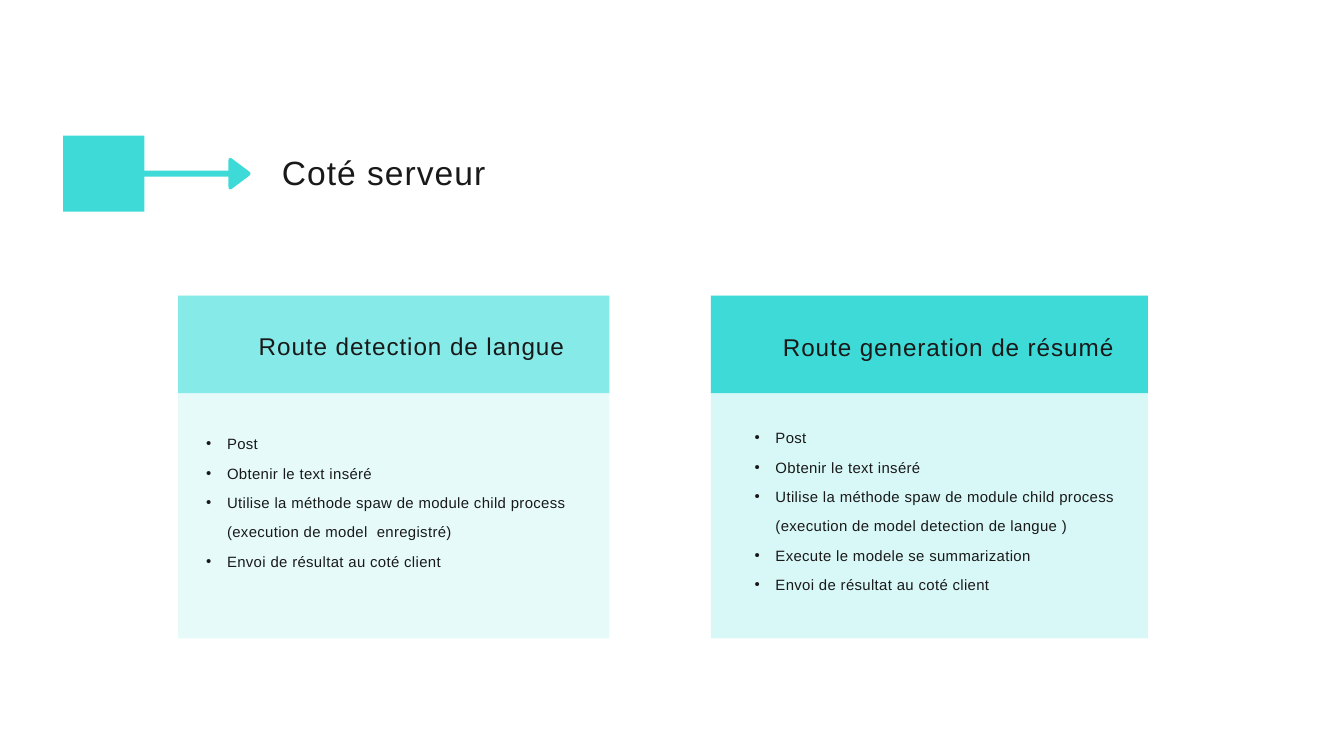
import pptx
import pptx.dml.color
import pptx.enum.shapes
import pptx.enum.text
import pptx.oxml
import pptx.oxml.ns
import pptx.util

Pt = pptx.util.Pt
RGBColor = pptx.dml.color.RGBColor
qn = pptx.oxml.ns.qn
NS = pptx.oxml.ns.nsdecls("a")

TURQUOISE = RGBColor(0x3E, 0xDA, 0xD8)
LIGHT_TURQUOISE = RGBColor(0x86, 0xEA, 0xE9)
INK = RGBColor(0x19, 0x19, 0x19)

presentation = pptx.Presentation()
presentation.slide_width = Pt(1440)
presentation.slide_height = Pt(810)
slide = presentation.slides.add_slide(presentation.slide_layouts[6])


def add_block(left, top, width, height, color, opacity=100):
    """Add a borderless rectangle; opacity is a percentage."""
    block = slide.shapes.add_shape(
        pptx.enum.shapes.MSO_SHAPE.RECTANGLE,
        Pt(left), Pt(top), Pt(width), Pt(height))
    block.shadow.inherit = False
    block.fill.solid()
    block.fill.fore_color.rgb = color
    block.line.fill.background()
    if opacity < 100:
        color_xml = block.fill._xPr.find(".//" + qn("a:srgbClr"))
        color_xml.append(pptx.oxml.parse_xml(
            f'<a:alpha {NS} val="{opacity * 1000}"/>'))


def add_text(left, top, width, height, lines, size, leading, tracking,
             bulleted=False, centered=False):
    """Add a text box without margins; tracking is in points."""
    box = slide.shapes.add_textbox(Pt(left), Pt(top), Pt(width), Pt(height))
    frame = box.text_frame
    frame.word_wrap = True
    frame.margin_left = frame.margin_right = 0
    frame.margin_top = frame.margin_bottom = 0
    for index, line in enumerate(lines):
        paragraph = frame.paragraphs[0] if index == 0 else frame.add_paragraph()
        run = paragraph.add_run()
        run.text = line
        run._r.get_or_add_rPr().set("spc", str(round(tracking * 100)))
        paragraph.line_spacing = Pt(leading)
        if centered:
            paragraph.alignment = pptx.enum.text.PP_ALIGN.CENTER
        if bulleted:
            properties = paragraph._p.get_or_add_pPr()
            properties.set("marL", str(Pt(22.3)))
            properties.set("indent", str(-Pt(22.3)))
            properties.append(pptx.oxml.parse_xml(
                f'<a:buFont {NS} typeface="Arial"/>'))
            properties.append(pptx.oxml.parse_xml(f'<a:buChar {NS} char="•"/>'))
        paragraph.font.name = "Arial"
        paragraph.font.size = Pt(size)
        paragraph.font.color.rgb = INK


# Heading with its square and rounded arrow
add_text(111.6, 159.1, 599, 43.9, ["Coté serveur"], 36, 47.2, 1.1, centered=True)
add_block(67.7, 145.4, 87.1, 81.4, TURQUOISE)

AXIS = 186.1
upper_edge = [(144, 3.3), (244.8, 3.3), (244.8, 14), (245.2, 16.1),
              (246.5, 16.9), (248.4, 16.2), (266.4, 2.7), (267.9, 1.4)]
outline = [(x, AXIS - offset) for x, offset in upper_edge]
outline.append((268.4, AXIS))
outline += [(x, AXIS + offset) for x, offset in reversed(upper_edge)]
corners = [(Pt(x), Pt(y)) for x, y in outline]
builder = slide.shapes.build_freeform(*corners[0], scale=1.0)
builder.add_line_segments(corners[1:], close=True)
arrow = builder.convert_to_shape()
arrow.shadow.inherit = False
arrow.fill.solid()
arrow.fill.fore_color.rgb = TURQUOISE
arrow.line.fill.background()

# Route cards: (left, width, colour, title, title position, steps, steps position)
routes = [
    (190.8, 462.2, LIGHT_TURQUOISE,
     "Route detection de langue", (277.2, 352.1),
     ["Post",
      "Obtenir le text inséré",
      "Utilise la méthode spaw de module child process (execution de model  enregistré)",
      "Envoi de résultat au coté client"], (221, 453.6)),
    (761.8, 468, TURQUOISE,
     "Route generation de résumé", (838.8, 353.5),
     ["Post",
      "Obtenir le text inséré",
      "Utilise la méthode spaw de module child process (execution de model detection de langue )",
      "Execute le modele se summarization",
      "Envoi de résultat au coté client"], (808.6, 447.1)),
]
CARD_TOP = 316.8
for left, width, color, title, title_at, steps, steps_at in routes:
    add_block(left, CARD_TOP, width, 367.2, color, opacity=20)
    add_block(left, CARD_TOP, width, 104.4, color)
    add_text(*title_at, 391, 34.6, [title], 26, 33.5, 1)
    add_text(*steps_at, 401, 31.5 * (len(steps) + 1), steps, 16, 31.5, 0.4,
             bulleted=True)

presentation.save("out.pptx")
